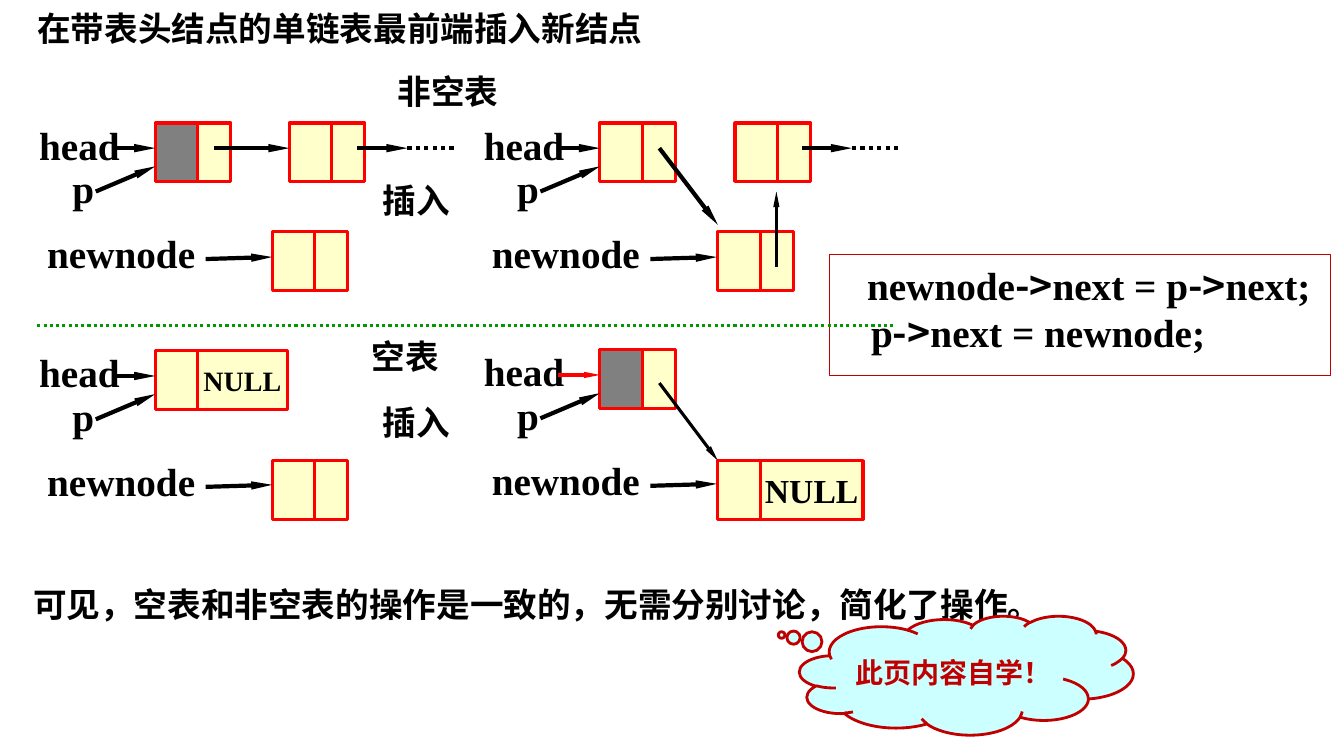
from dataclasses import dataclass

from lxml.etree import SubElement
from pptx import Presentation
from pptx.dml.color import RGBColor
from pptx.enum.dml import MSO_LINE
from pptx.enum.shapes import MSO_CONNECTOR, MSO_SHAPE
from pptx.enum.text import MSO_ANCHOR, MSO_AUTO_SIZE, PP_ALIGN
from pptx.oxml.ns import qn
from pptx.util import Inches, Pt

COLORS = {"ink": "000000", "border": "FF0000", "cell": "FFFFCC", "header": "808080",
          "divider": "009900", "accent": "C00000", "cloud": "CCFFFF"}
SERIF, SANS = "Times New Roman", "Noto Sans CJK SC"
DATA_WIDTH, LINK_WIDTH, CELL_HEIGHT = 0.42, 0.33, 0.58


@dataclass
class Label:
    text: str
    left: float
    top: float
    width: float
    height: float
    size: float = 28
    font: str = SERIF
    align: PP_ALIGN = PP_ALIGN.LEFT
    wrap: bool = False


@dataclass
class Arrow:
    x1: float
    y1: float
    x2: float
    y2: float
    color: str = "ink"
    width: float = 3
    dotted: bool = False


@dataclass
class Node:
    left: float
    top: float
    fill: str = "cell"
    link_width: float = LINK_WIDTH
    link_text: str = ""
    link_size: float = 20


@dataclass
class ListState:
    dx: float
    dy: float
    head: Node
    new: Node
    head_color: str = "ink"
    head_width: float = 3


STATES = [
    ListState(0, 0, Node(1.54, 1.22, "header"), Node(2.7, 2.3)),
    ListState(4.41, 0, Node(5.95, 1.22), Node(7.12, 2.3)),
    ListState(0, 2.26, Node(1.54, 3.48, link_width=0.89, link_text="NULL"), Node(2.7, 4.57)),
    ListState(4.41, 2.25, Node(5.95, 3.47, "header"),
              Node(7.12, 4.57, link_width=1.02, link_text="NULL", link_size=24), "border", 2.25),
]
NEXT_NODES = [Node(2.87, 1.22), Node(7.29, 1.22)]
LINKS = [
    Arrow(2.12, 1.47, 2.87, 1.47),
    Arrow(6.54, 1.47, 7.12, 2.23),
    Arrow(7.7, 2.65, 7.7, 1.9, width=2.25),
    Arrow(6.54, 3.8, 7.12, 4.57, width=2.25),
    Arrow(0.37, 3.23, 8.87, 3.23, "divider", 2.25, True),
]
CAPTIONS = [
    Label("插入", 3.7, 1.74, 0.88, 0.51, 24),
    Label("插入", 3.7, 3.94, 0.88, 0.51, 24),
    Label("非空表", 3.62, 0.65, 1.65, 0.5, 24, SANS, PP_ALIGN.CENTER, True),
    Label("空表", 3.51, 3.28, 1.02, 0.5, 24, SANS, PP_ALIGN.CENTER, True),
    Label("可见，空表和非空表的操作是一致的，无需分别讨论，简化了操作。",
          0.23, 5.74, 10.28, 0.5, 24, wrap=True),
]
CODE = [("newnode->next = p->next;", 0.25), ("p->next = newnode;", 0.29)]


def rgb(name: str) -> RGBColor:
    """Return the named colour."""
    return RGBColor.from_string(COLORS[name])


def apply(target, values: dict) -> None:
    """Set each attribute of the target."""
    for key, value in values.items():
        setattr(target, key, value)


def add_run(paragraph, text: str, size: float, font: str = SERIF, color: str = "ink") -> None:
    """Append bold text to a paragraph."""
    run = paragraph.add_run()
    run.text = text
    apply(run.font, {"name": font, "size": Pt(size), "bold": True})
    run.font.color.rgb = rgb(color)
    SubElement(run.font._element, qn("a:ea")).set("typeface", SANS)


def set_frame(shape, wrap: bool, anchor: MSO_ANCHOR, side: float = 0.1, edge: float = 0.05):
    """Format the text frame and return its first paragraph."""
    apply(shape.text_frame, {
        "word_wrap": wrap, "vertical_anchor": anchor, "auto_size": MSO_AUTO_SIZE.NONE,
        "margin_left": Inches(side), "margin_right": Inches(side),
        "margin_top": Inches(edge), "margin_bottom": Inches(edge)})
    return shape.text_frame.paragraphs[0]


def add_label(slide, label: Label) -> None:
    """Draw a text label."""
    box = slide.shapes.add_textbox(*map(Inches, (label.left, label.top, label.width, label.height)))
    paragraph = set_frame(box, label.wrap, MSO_ANCHOR.TOP)
    paragraph.alignment = label.align
    add_run(paragraph, label.text, label.size, label.font)


def add_arrow(slide, arrow: Arrow) -> None:
    """Draw an arrow or a dotted line."""
    ends = map(Inches, (arrow.x1, arrow.y1, arrow.x2, arrow.y2))
    connector = slide.shapes.add_connector(MSO_CONNECTOR.STRAIGHT, *ends)
    connector.line.color.rgb = rgb(arrow.color)
    connector.line.width = Pt(arrow.width)
    properties = connector._element.spPr
    if arrow.dotted:
        connector.line.dash_style = MSO_LINE.ROUND_DOT
    else:
        tail = SubElement(properties.find(qn("a:ln")), qn("a:tailEnd"))
        for key, value in {"type": "triangle", "w": "sm", "len": "lg"}.items():
            tail.set(key, value)
    SubElement(properties, qn("a:effectLst"))


def add_box(slide, kind: MSO_SHAPE, bounds: tuple, fill: str, border: str, width: float):
    """Draw a preset shape, unfilled when no fill is named."""
    box = slide.shapes.add_shape(kind, *map(Inches, bounds))
    box.shadow.inherit = False
    if fill:
        box.fill.solid()
        box.fill.fore_color.rgb = rgb(fill)
    else:
        box.fill.background()
    box.line.color.rgb = rgb(border)
    box.line.width = Pt(width)
    return box


def add_node(slide, node: Node) -> None:
    """Draw the data and link cells of a list node."""
    for left, width, fill, text in (
            (node.left, DATA_WIDTH, node.fill, ""),
            (node.left + DATA_WIDTH, node.link_width, "cell", node.link_text)):
        cell = add_box(slide, MSO_SHAPE.RECTANGLE, (left, node.top, width, CELL_HEIGHT),
                       fill, "border", 2.25)
        if text:
            paragraph = set_frame(cell, False, MSO_ANCHOR.MIDDLE)
            paragraph.alignment = PP_ALIGN.CENTER
            add_run(paragraph, text, node.link_size)


def add_state(slide, state: ListState) -> None:
    """Draw one list with its head, p and newnode pointers."""
    dx, dy = state.dx, state.dy
    add_node(slide, state.head)
    add_node(slide, state.new)
    for text, left, top, width in (("head", 0.29, 1.15, 1), ("p", 0.62, 1.58, 0.42),
                                   ("newnode", 0.37, 2.23, 1.67)):
        add_label(slide, Label(text, left + dx, top + dy, width, 0.57))
    add_arrow(slide, Arrow(1.12 + dx, 1.47 + dy, 1.54 + dx, 1.47 + dy,
                           state.head_color, state.head_width))
    for x1, y1, x2, y2 in ((0.95, 1.9, 1.54, 1.65), (2.04, 2.57, 2.7, 2.55)):
        add_arrow(slide, Arrow(x1 + dx, y1 + dy, x2 + dx, y2 + dy))


def add_code(slide) -> None:
    """Draw the framed insertion statements."""
    frame = add_box(slide, MSO_SHAPE.RECTANGLE, (8.23, 2.53, 4.97, 1.2), "", "accent", 0.75)
    paragraph = set_frame(frame, True, MSO_ANCHOR.TOP, 0.12, 0.06)
    for index, (statement, indent) in enumerate(CODE):
        if index:
            paragraph = frame.text_frame.add_paragraph()
        paragraph.alignment = PP_ALIGN.LEFT
        paragraph._p.get_or_add_pPr().set("marL", str(Inches(indent)))
        for part in statement.replace("->", "|->|").split("|"):
            add_run(paragraph, part, 28, SANS if part == "->" else SERIF)


def main() -> None:
    """Build the slide on inserting at the front of a linked list."""
    deck = Presentation()
    apply(deck, {"slide_width": Inches(13.33), "slide_height": Inches(7.5)})
    slide = deck.slides.add_slide(deck.slide_layouts[5])
    title = slide.shapes.title
    apply(title, {"left": Inches(0.25), "top": Inches(0), "width": Inches(8.75), "height": Inches(0.52)})
    heading = set_frame(title, True, MSO_ANCHOR.TOP, 0.12, 0.06)
    apply(heading, {"alignment": PP_ALIGN.LEFT, "line_spacing": 1.05})
    add_run(heading, "在带表头结点的单链表最前端插入新结点", 24, SANS)
    add_code(slide)
    for node in NEXT_NODES:
        add_node(slide, node)
    for state in STATES:
        add_state(slide, state)
    for start in (3.54, 7.95):
        add_arrow(slide, Arrow(start, 1.47, start + 0.5, 1.47))
        add_arrow(slide, Arrow(start + 0.5, 1.47, start + 1, 1.47, dotted=True))
    for link in LINKS:
        add_arrow(slide, link)
    for caption in CAPTIONS:
        add_label(slide, caption)
    cloud = add_box(slide, MSO_SHAPE.CLOUD_CALLOUT, (7.93, 6.11, 3.31, 1.18), "cloud", "accent", 2)
    cloud.adjustments[0], cloud.adjustments[1] = -0.554, -0.339
    remark = set_frame(cloud, True, MSO_ANCHOR.MIDDLE)
    remark.alignment = PP_ALIGN.JUSTIFY
    add_run(remark, "此页内容自学！", 20, "Arial", "accent")
    deck.save("out.pptx")


if __name__ == "__main__":
    main()
